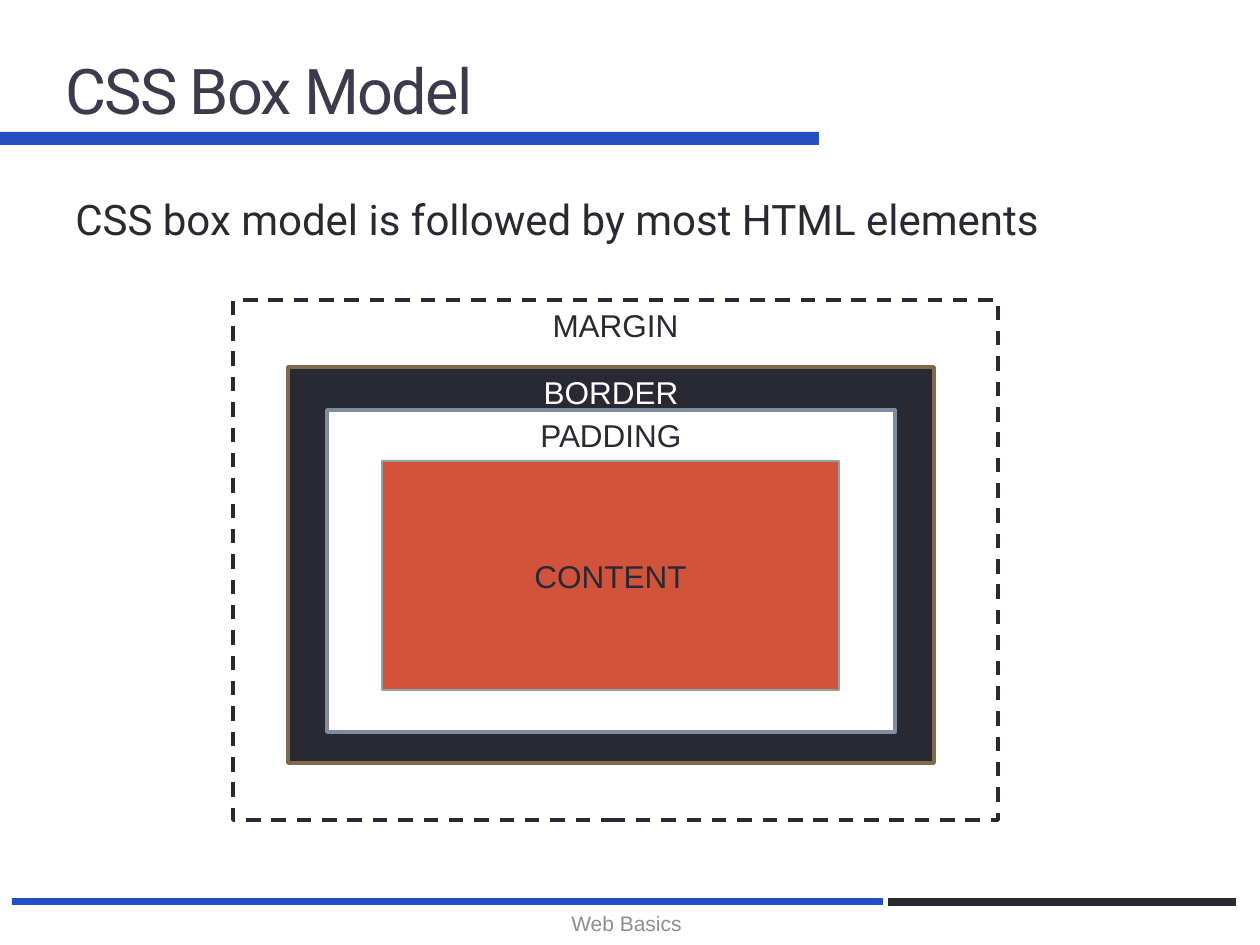
from dataclasses import dataclass

from pptx import Presentation
from pptx.dml.color import RGBColor
from pptx.enum.dml import MSO_LINE
from pptx.enum.shapes import MSO_SHAPE
from pptx.enum.text import MSO_ANCHOR, PP_ALIGN
from pptx.util import Emu, Pt

SCALE = 914400 / 126


@dataclass(frozen=True)
class Theme:
    """Colours, fonts and type sizes of the slide."""
    blue: str = "254DC4"
    ink: str = "292934"
    heading: str = "3B3B4B"
    muted: str = "8E8E90"
    white: str = "FFFFFF"
    brown: str = "806A4C"
    slate: str = "808DA0"
    sage: str = "93A299"
    red: str = "D2533C"
    display_font: str = "Roboto"
    label_font: str = "Arial"
    title_size: int = 36
    body_size: int = 24
    label_size: int = 18
    footer_size: int = 12
    frame_width: float = 2.08
    hairline: float = 0.75


def px(*lengths):
    """Turn pixel lengths into EMU."""
    return [Emu(round(length * SCALE)) for length in lengths]


class SlideBuilder:
    """Draws styled elements on the current slide."""

    def __init__(self, page, theme):
        """Keep the slide and its style."""
        self.page = page
        self.theme = theme

    def set_text(self, shape, text, size, color, font, align, anchor):
        """Put one formatted paragraph into a shape and return its run."""
        frame = shape.text_frame
        frame.text = text
        frame.word_wrap = True
        frame.vertical_anchor = anchor
        para = frame.paragraphs[0]
        para.alignment = align
        span = para.runs[0]
        span.font.size = Pt(size)
        span.font.name = font
        span.font.color.rgb = RGBColor.from_string(color)
        return span

    def text(self, bounds, text, size, color, font,
             align=PP_ALIGN.LEFT, anchor=MSO_ANCHOR.MIDDLE):
        """Add a text box and return its run."""
        box = self.page.shapes.add_textbox(*px(*bounds))
        return self.set_text(box, text, size, color, font, align, anchor)

    def rectangle(self, bounds, fill, parent=None):
        """Add a plain filled rectangle to the slide or to a group."""
        shapes = (parent or self.page).shapes
        box = shapes.add_shape(MSO_SHAPE.RECTANGLE, *px(*bounds))
        box.shadow.inherit = False
        box.fill.solid()
        box.fill.fore_color.rgb = RGBColor.from_string(fill)
        box.line.fill.background()
        return box

    def layer(self, group, bounds, label, fill, line, color, width,
              dash=None, anchor=MSO_ANCHOR.TOP):
        """Add one labelled layer of the box model."""
        box = self.rectangle(bounds, fill, group)
        box.line.color.rgb = RGBColor.from_string(line)
        box.line.width = Pt(width)
        if dash:
            box.line.dash_style = dash
        self.set_text(box, label, self.theme.label_size, color,
                      self.theme.label_font, PP_ALIGN.CENTER, anchor)


def build():
    """Build and save the slide."""
    deck = Presentation()
    deck.slide_width, deck.slide_height = px(1260, 945)
    theme = Theme()
    page = deck.slides.add_slide(deck.slide_layouts[6])
    slide = SlideBuilder(page, theme)

    for bounds, fill in (((0, 132, 819, 13), theme.blue),
                         ((12, 898, 871, 7), theme.blue),
                         ((888, 898, 348, 8), theme.ink)):
        slide.rectangle(bounds, fill)

    title = slide.text((53, 21, 1134, 136), "CSS Box Model",
                       theme.title_size, theme.heading, theme.display_font)
    title.font._element.set("spc", "-100")
    slide.text((427, 898, 399, 50), "Web Basics", theme.footer_size,
               theme.muted, theme.label_font, PP_ALIGN.CENTER)
    slide.text((63, 187, 1134, 77),
               "CSS box model is followed by most HTML elements",
               theme.body_size, theme.ink, theme.display_font,
               anchor=MSO_ANCHOR.TOP)

    box_model = page.shapes.add_group_shape()
    frame = theme.frame_width
    slide.layer(box_model, (233, 300, 765, 520), "MARGIN", theme.white,
                theme.ink, theme.ink, frame, dash=MSO_LINE.DASH)
    slide.layer(box_model, (288, 367, 646, 396), "BORDER", theme.ink,
                theme.brown, theme.white, frame)
    slide.layer(box_model, (327, 410, 568, 322), "PADDING", theme.white,
                theme.slate, theme.ink, frame)
    slide.layer(box_model, (382, 461, 457, 229), "CONTENT", theme.red,
                theme.sage, theme.ink, theme.hairline,
                anchor=MSO_ANCHOR.MIDDLE)

    deck.save("out.pptx")


build()
